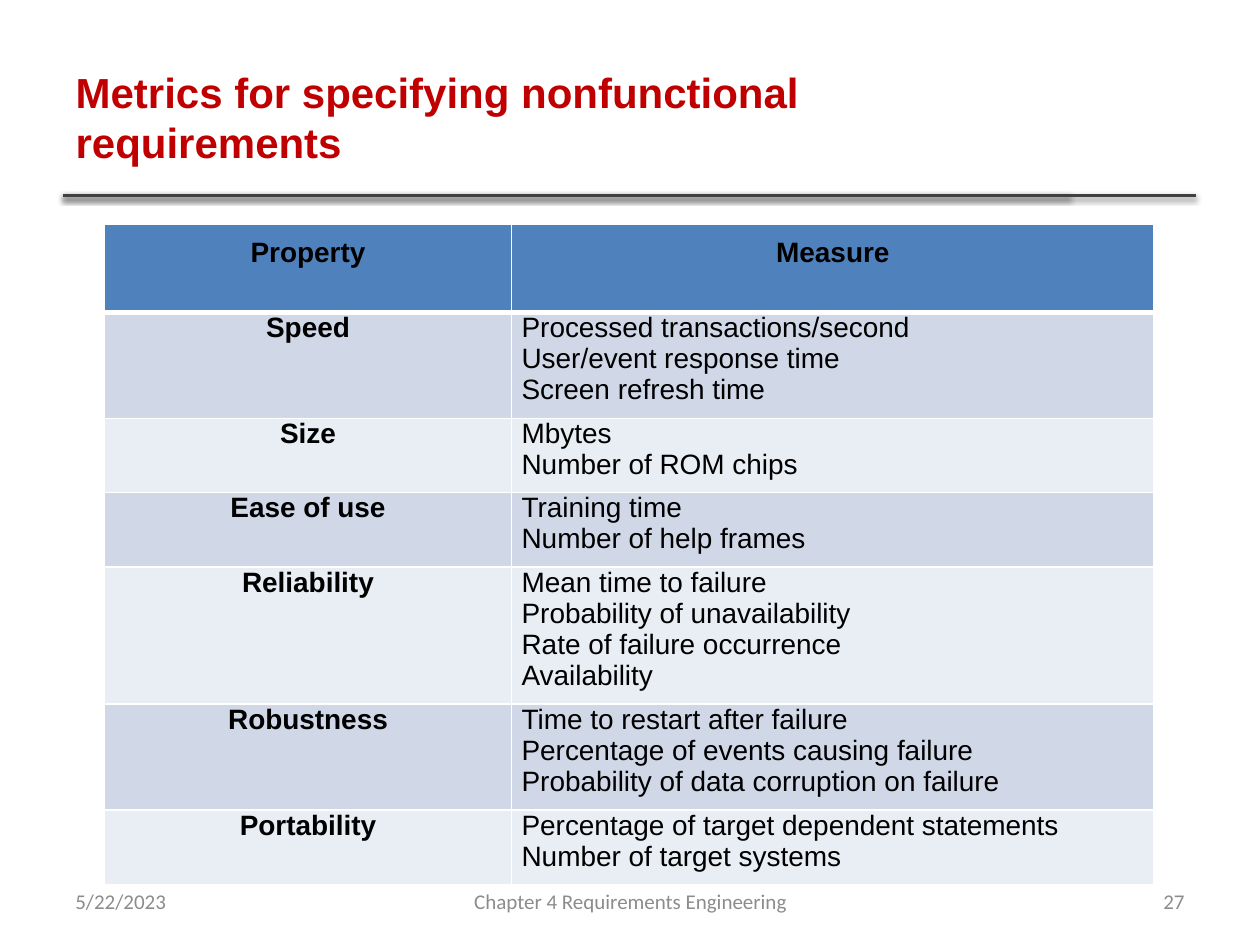
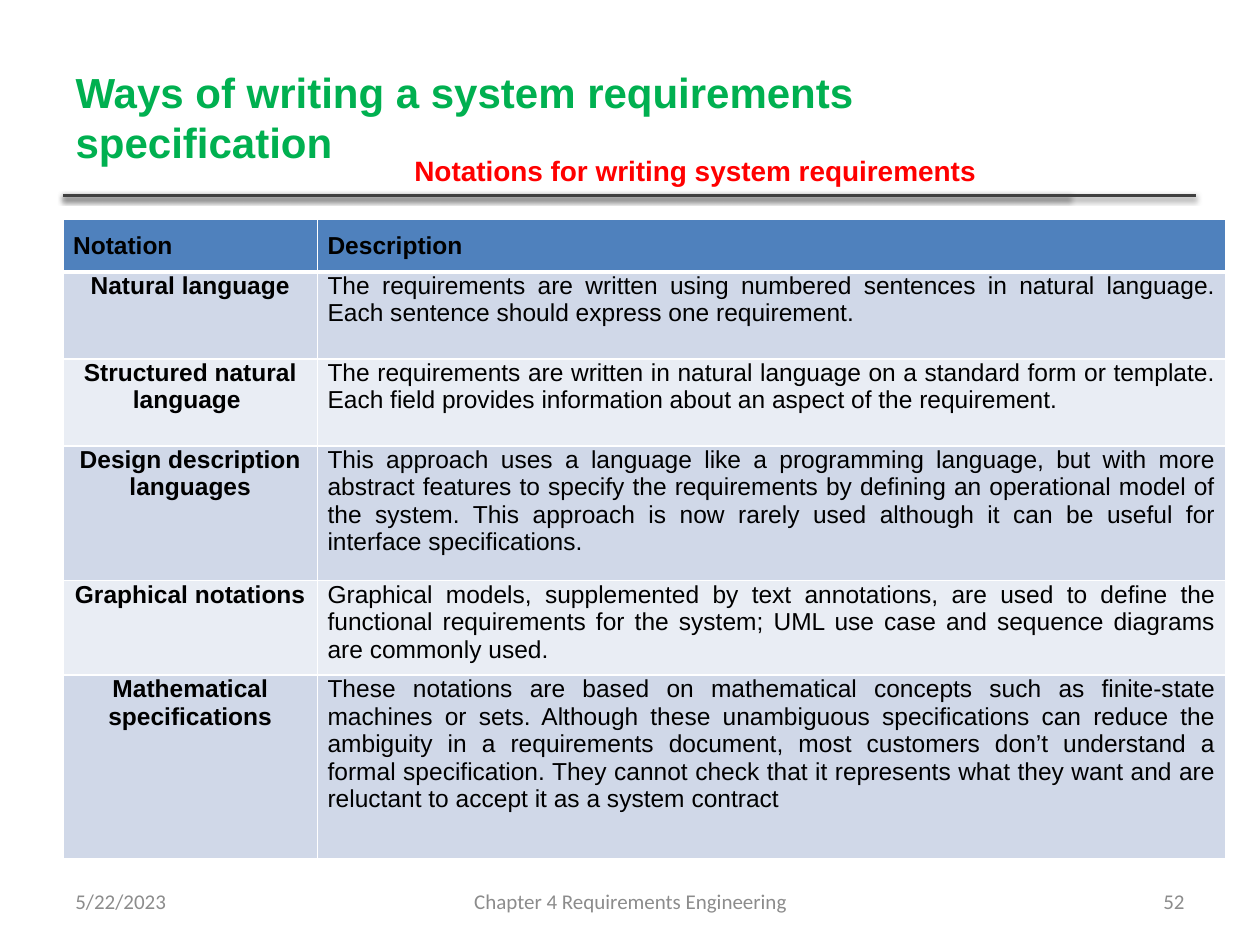
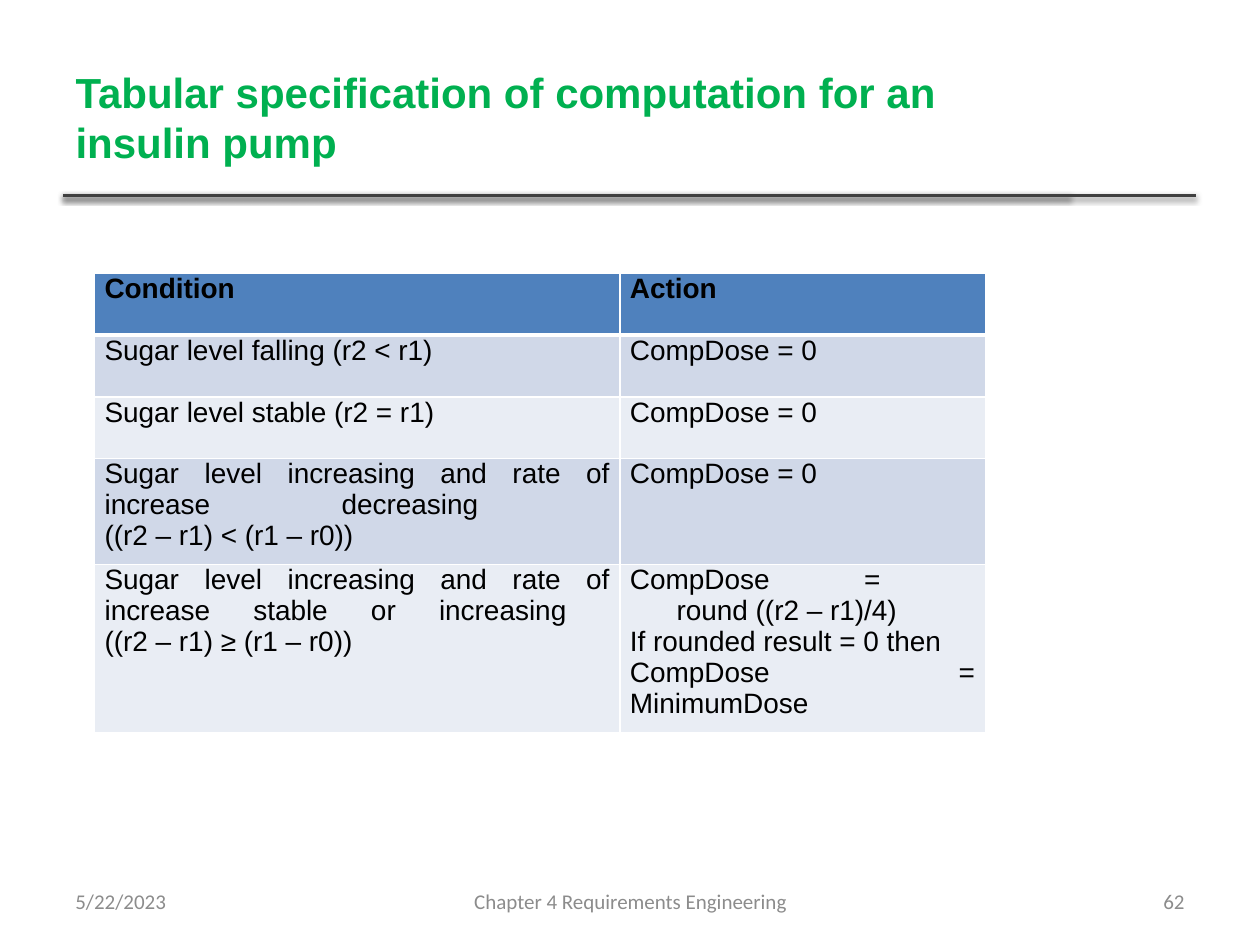
from copy import deepcopy

from lxml import etree
from pptx import Presentation
from pptx.dml.color import RGBColor
from pptx.enum.shapes import MSO_CONNECTOR
from pptx.enum.text import MSO_ANCHOR as ANCHOR, PP_ALIGN as AL
from pptx.oxml.ns import qn
from pptx.util import Inches, Pt

COLORS = {
    "red": "C00000", "green": "00B050", "bright_red": "FF0000", "black": "000000",
    "grey": "8C8C8C", "rule": "404040", "header": "4F81BD", "band_dark": "D0D8E8",
    "band_light": "E9EDF4", "white": "FFFFFF",
}
DATE = "5/22/2023"
FOOTER = "Chapter 4 Requirements Engineering"
TITLE_BOX = (0.5, 0.3, 7.98, 1.25)

METRICS = [
    ("Property", "Measure"),
    ("Speed", "Processed transactions/second\nUser/event response time\nScreen refresh time"),
    ("Size", "Mbytes\nNumber of ROM chips"),
    ("Ease of use", "Training time\nNumber of help frames"),
    ("Reliability", "Mean time to failure\nProbability of unavailability\n"
                    "Rate of failure occurrence\nAvailability"),
    ("Robustness", "Time to restart after failure\nPercentage of events causing failure\n"
                   "Probability of data corruption on failure"),
    ("Portability", "Percentage of target dependent statements\nNumber of target systems"),
]
NOTATIONS = [
    ("Notation", "Description"),
    ("Natural language",
     "The requirements are written using numbered sentences in natural language. "
     "Each sentence should express one requirement."),
    ("Structured natural language ",
     "The requirements are written in natural language on a standard form or template. "
     "Each field provides information about an aspect of the requirement."),
    ("Design description languages",
     "This approach uses a language like a programming language, but with more abstract "
     "features to specify the requirements by defining an operational model of the system. "
     "This approach is now rarely used although it can be useful for interface specifications."),
    ("Graphical notations",
     "Graphical models, supplemented by text annotations, are used to define the functional "
     "requirements for the system; UML use case and sequence diagrams are commonly used."),
    ("Mathematical specifications",
     "These notations are based on mathematical concepts such as finite-state machines or "
     "sets. Although these unambiguous specifications can reduce the ambiguity in a "
     "requirements document, most customers don’t understand a formal specification. They "
     "cannot check that it represents what they want and are reluctant to accept it as a "
     "system contract"),
]
DOSES = [
    ("Condition", "Action"),
    ("Sugar level falling (r2 < r1)", "CompDose = 0"),
    ("Sugar level stable (r2 = r1)", "CompDose = 0"),
    ("Sugar level increasing and rate of increase decreasing \v((r2 – r1) < (r1 – r0))",
     "CompDose = 0"),
    ("Sugar level increasing and rate of increase stable or increasing \v"
     "((r2 – r1) ≥ (r1 – r0))",
     "CompDose = \vround ((r2 – r1)/4)\nIf rounded result = 0 then\nCompDose = MinimumDose"),
]


def write(tf, text, size=16, font="Arial", color="black", bold=False, align=AL.LEFT):
    """Fill a text frame: newlines part paragraphs, vertical tabs part lines."""
    tf.word_wrap = True
    for i, block in enumerate(text.split("\n")):
        p = tf.paragraphs[0] if i == 0 else tf.add_paragraph()
        p.alignment = align
        for j, line in enumerate(block.split("\v")):
            if j:
                p.add_line_break()
            r = p.add_run()
            r.text = line
            r.font.size, r.font.name, r.font.bold = Pt(size), font, bold
            r.font.color.rgb = RGBColor.from_string(COLORS[color])
        for br in p._p.iter(qn("a:br")):
            br.append(deepcopy(p.runs[0]._r.rPr))


def add_text(s, box, text, anchor=ANCHOR.TOP, **fmt):
    """Add a text box at the given box in inches."""
    tf = s.shapes.add_textbox(*map(Inches, box)).text_frame
    tf.vertical_anchor = anchor
    write(tf, text, **fmt)


def add_rule(s, layout, right):
    """Draw a shadowed rule below the title and move it into the layout."""
    left, y = Inches(TITLE_BOX[0]), Inches(TITLE_BOX[1] + TITLE_BOX[3])
    line = s.shapes.add_connector(MSO_CONNECTOR.STRAIGHT, left, y, Inches(right), y)
    line.line.width = Pt(2)
    line.line.color.rgb = RGBColor.from_string(COLORS["rule"])
    effects = etree.SubElement(line._element.spPr, qn("a:effectLst"))
    shadow = etree.SubElement(effects, qn("a:outerShdw"), blurRad=str(Pt(3.1)),
                              dist=str(Pt(1.6)), dir="5400000", rotWithShape="0")
    color = etree.SubElement(shadow, qn("a:srgbClr"), val=COLORS["black"])
    etree.SubElement(color, qn("a:alpha"), val="38000")
    layout.shapes.element.append(line._element)


def add_base(prs, layout, title, color, number):
    """Add a slide with its title, date, footer and number."""
    s = prs.slides.add_slide(layout)
    write(s.shapes.title.text_frame, title, size=24, color=color, bold=True)
    for left, width, text, align in ((0.5, 2.33, DATE, AL.LEFT), (3.42, 3.17, FOOTER, AL.CENTER),
                                     (7.17, 2.33, str(number), AL.RIGHT)):
        add_text(s, (left, 6.95, width, 0.4), text, ANCHOR.MIDDLE, size=12,
                 font="Calibri", color="grey", align=align)
    return s


def set_borders(cell, row):
    """Give a cell white borders, heavier between the header and the body."""
    tc_pr = cell._tc.get_or_add_tcPr()
    widths = {"lnL": 1, "lnR": 1, "lnT": 3 if row == 1 else 1, "lnB": 3 if row == 0 else 1}
    for i, (side, width) in enumerate(widths.items()):
        ln = etree.Element(qn(f"a:{side}"), w=str(Pt(width)))
        fill = etree.SubElement(ln, qn("a:solidFill"))
        etree.SubElement(fill, qn("a:srgbClr"), val=COLORS["white"])
        tc_pr.insert(i, ln)


def add_grid(s, left, top, cols, heights, rows, size=16, header_top=0.1,
             header_aligns=(AL.JUSTIFY, AL.JUSTIFY), key_align=AL.CENTER, bold_keys=True):
    """Add a banded two-column table whose row heights leave room below the text."""
    tbl = s.shapes.add_table(len(rows), len(cols), Inches(left), Inches(top),
                             Inches(sum(cols)), Inches(sum(heights))).table
    for col, width in zip(tbl.columns, cols):
        col.width = Inches(width)
    for i, (height, texts) in enumerate(zip(heights, rows)):
        tbl.rows[i].height = Inches(height)
        band = "header" if i == 0 else ("band_light", "band_dark")[i % 2]
        aligns = header_aligns if i == 0 else (key_align, AL.JUSTIFY)
        for j, text in enumerate(texts):
            cell = tbl.cell(i, j)
            cell.margin_left = cell.margin_right = Inches(0.08)
            cell.margin_top = Inches(0 if i else header_top)
            cell.margin_bottom = 0
            cell.fill.solid()
            cell.fill.fore_color.rgb = RGBColor.from_string(COLORS[band])
            set_borders(cell, i)
            write(cell.text_frame, text, size=size, align=aligns[j],
                  bold=i == 0 or (bold_keys and j == 0))
    return tbl


def metrics_slide(prs, layout):
    """Build the table of nonfunctional metrics."""
    s = add_base(prs, layout, "Metrics for specifying nonfunctional requirements", "red", 27)
    add_grid(s, 0.83, 1.78, (3.23, 5.1), (0.7, 0.84, 0.59, 0.59, 1.09, 0.84, 0.59), METRICS,
             header_aligns=(AL.CENTER, AL.CENTER))
    return s


def notations_slide(prs, layout):
    """Build the table of notations with its caption."""
    s = add_base(prs, layout, "Ways of writing a system requirements specification", "green", 52)
    add_grid(s, 0.5, 1.74, (2.02, 7.21), (0.42, 0.69, 0.69, 1.07, 0.75, 1.46), NOTATIONS,
             size=14, header_aligns=(AL.LEFT, AL.JUSTIFY))
    add_text(s, (3.19, 1.17, 4.81, 0.37), "Notations for writing system requirements",
             color="bright_red", bold=True)


def doses_slide(prs, layout):
    """Build the table of insulin dose rules."""
    s = add_base(prs, layout, "Tabular specification of computation for an insulin pump",
                 "green", 62)
    tbl = add_grid(s, 0.75, 2.17, (4.17, 2.9), (0.49, 0.49, 0.49, 0.84, 1.33), DOSES,
                   header_top=0, key_align=AL.JUSTIFY, bold_keys=False)
    formula = tbl.cell(4, 1).text_frame.paragraphs[0]._p.get_or_add_pPr()
    formula.set("marL", str(Inches(0.37)))
    formula.set("indent", str(-Inches(0.37)))


def main():
    """Build and save the deck."""
    prs = Presentation()
    prs.slide_width, prs.slide_height = Inches(10), Inches(7.5)
    layout = prs.slide_layouts.get_by_name("Title Only")
    title = layout.placeholders[0]
    title.left, title.top, title.width, title.height = map(Inches, TITLE_BOX)
    first = metrics_slide(prs, layout)
    for right in (8.49, 9.49):
        add_rule(first, layout, right)
    notations_slide(prs, layout)
    doses_slide(prs, layout)
    prs.save("out.pptx")


if __name__ == "__main__":
    main()
